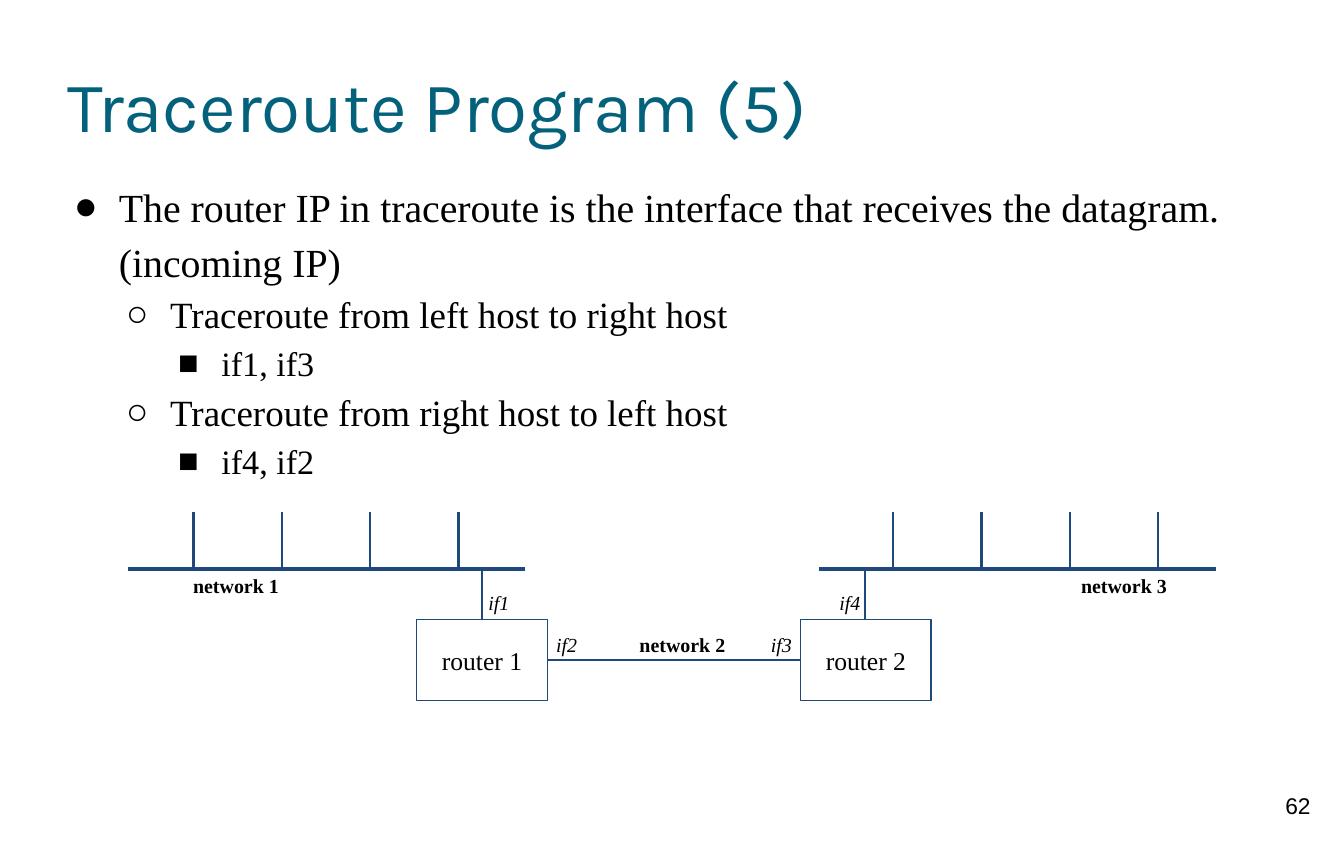
from lxml.etree import SubElement
from pptx import Presentation
from pptx.dml.color import RGBColor
from pptx.enum.shapes import MSO_CONNECTOR, MSO_SHAPE
from pptx.enum.text import MSO_ANCHOR, MSO_AUTO_SIZE, PP_ALIGN
from pptx.oxml.ns import qn
from pptx.util import Cm, Pt

COLORS = {"title": "04617B", "text": "000000", "line": "1F497D"}
SERIF = "Times New Roman"
BULLETS = [("●", 28, 1.27, -1.12), ("○", 26, 2.54, -1.09), ("■", 24, 3.81, -1.07)]
POINTS = [
    (0, "The router IP in traceroute is the interface that receives the datagram. (incoming IP)"),
    (1, "Traceroute from left host to right host"),
    (2, "if1, if3"),
    (1, "Traceroute from right host to left host"),
    (2, "if4, if2"),
]
BUS_Y, TICK_TOP, ROUTER_TOP, LINK_Y = 14.1, 12.7, 15.37, 16.36
BUS_WIDTH, TICK_STEP, TICK_COUNT = 9.83, 2.19, 4
ROUTER_WIDTH, ROUTER_HEIGHT = 3.23, 2
SIDES = [
    {"router": "router 1", "router_x": 10.34, "bus_x": 3.18, "tick_x": 4.8, "stem_x": 11.96},
    {"router": "router 2", "router_x": 19.86, "bus_x": 20.32, "tick_x": 22.15, "stem_x": 21.46},
]
NETWORKS = [("network 1", 4.37, 13.97), ("network 2", 15.44, 15.44), ("network 3", 26.39, 13.97)]
INTERFACES = [
    ("if1", 11.86, 14.4, 2.97, PP_ALIGN.LEFT),
    ("if2", 13.54, 15.44, 1.12, PP_ALIGN.LEFT),
    ("if3", 18.77, 15.44, 1.12, PP_ALIGN.RIGHT),
    ("if4", 18.62, 14.4, 2.97, PP_ALIGN.RIGHT),
]


def color(name):
    return RGBColor.from_string(COLORS[name])


def write(para, text, size=14, font=SERIF, fill="text", bold=False, italic=False,
          align=PP_ALIGN.LEFT):
    para.alignment = align
    span = para.add_run()
    span.text = text
    span.font.name, span.font.size = font, Pt(size)
    span.font.bold, span.font.italic = bold, italic
    span.font.color.rgb = color(fill)


class Slide:
    """Draws styled elements on one slide."""

    def __init__(self, deck):
        self.page = deck.slides.add_slide(deck.slide_layouts[1])

    def frame(self, box, inset=0.25, anchor=MSO_ANCHOR.TOP):
        frame = box.text_frame
        frame.word_wrap = True
        frame.auto_size = MSO_AUTO_SIZE.NONE
        frame.vertical_anchor = anchor
        frame.margin_left = frame.margin_right = Cm(inset)
        frame.margin_top = frame.margin_bottom = Cm(inset)
        return frame

    def place(self, box, left, top, width, height):
        box.left, box.top, box.width, box.height = map(Cm, (left, top, width, height))

    def title(self, text):
        box = self.page.shapes.title
        self.place(box, 1.68, 0.84, 30, 3.5)
        frame = self.frame(box, 0, MSO_ANCHOR.MIDDLE)
        write(frame.paragraphs[0], text, size=50, font="Karla", fill="title")

    def bullets(self, points):
        box = self.page.placeholders[1]
        self.place(box, 1.68, 4.34, 30.07, 7.52)
        frame = self.frame(box, 0)
        for index, (level, text) in enumerate(points):
            para = frame.add_paragraph() if index else frame.paragraphs[0]
            mark, size, margin, indent = BULLETS[level]
            para.level = level
            para.line_spacing = 1.15
            para.space_before = Pt(0)
            style = para._p.get_or_add_pPr()
            style.set("marL", str(Cm(margin)))
            style.set("indent", str(Cm(indent)))
            tint = SubElement(style, qn("a:buClr"))
            SubElement(tint, qn("a:srgbClr"), val=COLORS["text"])
            SubElement(style, qn("a:buFont"), typeface=SERIF)
            SubElement(style, qn("a:buChar"), char=mark)
            write(para, text, size=size)

    def label(self, text, left, top, width=2.97, height=1.12, **style):
        box = self.page.shapes.add_textbox(Cm(left), Cm(top), Cm(width), Cm(height))
        write(self.frame(box).paragraphs[0], text, **style)

    def router(self, text, left):
        box = self.page.shapes.add_shape(MSO_SHAPE.RECTANGLE, Cm(left), Cm(ROUTER_TOP),
                                         Cm(ROUTER_WIDTH), Cm(ROUTER_HEIGHT))
        box.shadow.inherit = False
        box.fill.background()
        box.line.color.rgb = color("line")
        box.line.width = Pt(0.75)
        frame = self.frame(box, anchor=MSO_ANCHOR.MIDDLE)
        write(frame.paragraphs[0], text, size=18, align=PP_ALIGN.CENTER)

    def line(self, x1, y1, x2, y2, width=1.5):
        wire = self.page.shapes.add_connector(MSO_CONNECTOR.STRAIGHT, *map(Cm, (x1, y1, x2, y2)))
        wire.line.color.rgb = color("line")
        wire.line.width = Pt(width)
        SubElement(wire._element.spPr, qn("a:effectLst"))


def main():
    deck = Presentation()
    deck.slide_width, deck.slide_height = Cm(33.33), Cm(21)
    slide = Slide(deck)
    slide.title("Traceroute Program (5)")
    slide.bullets(POINTS)
    for side in SIDES:
        slide.router(side["router"], side["router_x"])
        slide.line(side["bus_x"], BUS_Y, side["bus_x"] + BUS_WIDTH, BUS_Y, width=3)
        slide.line(side["stem_x"], BUS_Y, side["stem_x"], ROUTER_TOP)
        for index in range(TICK_COUNT):
            x = side["tick_x"] + index * TICK_STEP
            slide.line(x, BUS_Y, x, TICK_TOP)
    slide.line(SIDES[0]["router_x"] + ROUTER_WIDTH, LINK_Y, SIDES[1]["router_x"], LINK_Y)
    for text, left, top in NETWORKS:
        slide.label(text, left, top, bold=True, align=PP_ALIGN.CENTER)
    for text, left, top, width, align in INTERFACES:
        slide.label(text, left, top, width, italic=True, align=align)
    slide.label("62", 31.19, 19.38, 2, 1.6, size=16, font="Arial", align=PP_ALIGN.CENTER)
    deck.save("out.pptx")


if __name__ == "__main__":
    main()
